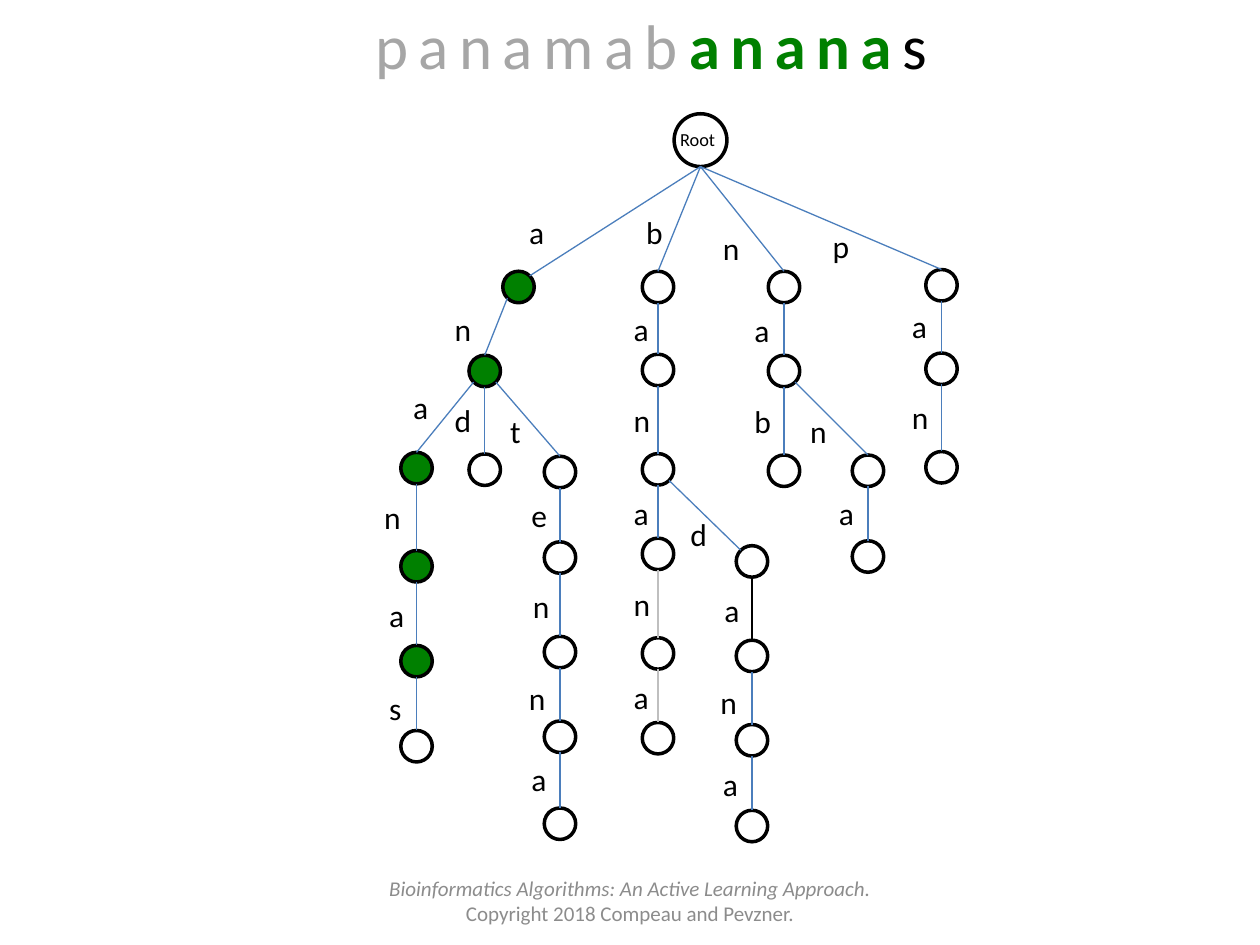
from math import sqrt

from lxml import etree
from pptx import Presentation
from pptx.dml.color import RGBColor
from pptx.enum.shapes import MSO_CONNECTOR, MSO_SHAPE
from pptx.enum.text import MSO_ANCHOR, MSO_AUTO_SIZE, PP_ALIGN
from pptx.oxml.ns import qn
from pptx.util import Pt

OVAL, LINE = MSO_SHAPE.OVAL, MSO_CONNECTOR.STRAIGHT
LEFT, MID = PP_ALIGN.LEFT, PP_ALIGN.CENTER
TOP, CORE = MSO_ANCHOR.TOP, MSO_ANCHOR.MIDDLE
FIT = MSO_AUTO_SIZE.SHAPE_TO_FIT_TEXT

HEX = {"ink": "000000", "paper": "FFFFFF", "match": "008000", "edge": "4B7EBC",
       "faint": "BFBFBF", "past": "A6A6A6", "foot": "8C8C8C"}

TITLE = [[("panamab", "past", {}), ("anana", "match", {"bold": True}),
          ("s", "ink", {})]]
CREDIT = [
    [("Bioinformatics Algorithms: An Active Learning Approach.", "foot",
      {"italic": True})],
    [("Copyright 2018 Compeau and Pevzner.", "foot", {})],
]
MATCH = "anana"

# Each key spells the way from the root: node centre x, node top, label left, label top
TRIE = {
    "a": (296.3, 155, 295.2, 118),
    "an": (277, 203, 252.7, 173.5),
    "ana": (238, 258.5, 229, 218),
    "anan": (238, 314.6, 212.4, 281),
    "anana": (238, 368.8, 215.3, 337),
    "ananas": (238, 417.4, 215.3, 390),
    "and": (277, 259.4, 252.7, 225.4),
    "ant": (320, 260.7, 284.4, 232),
    "ante": (320, 309.6, 296.6, 280),
    "anten": (320, 363.6, 297.4, 332),
    "antenn": (320, 412, 295.2, 384.5),
    "antenna": (320, 461.7, 296.6, 430.6),
    "b": (376, 155, 362.2, 118),
    "ba": (376, 202.4, 355, 173.5),
    "ban": (376, 259.2, 355, 225.4),
    "bana": (376, 307.5, 355, 278.6),
    "banan": (376, 364.4, 355, 330.5),
    "banana": (376, 412.8, 355, 383.8),
    "band": (429.7, 311.8, 387.4, 291),
    "banda": (429.7, 365.8, 406.8, 334),
    "bandan": (429.7, 414, 404.6, 386.6),
    "bandana": (429.7, 463, 406, 433.4),
    "n": (448, 155, 406, 127.4),
    "na": (448, 203, 424, 174),
    "nab": (448, 260, 424, 226),
    "nan": (496, 260, 455.8, 232),
    "nana": (496, 309, 472.3, 278.6),
    "p": (538, 154, 468.7, 126),
    "pa": (538, 201.7, 514, 172),
    "pan": (538, 258, 514, 224),
}
SHADES = {"banan": "faint", "banana": "faint", "banda": "ink"}
SIDED = {"a", "band"}  # edges that meet the side of the node, not its top
WIDTHS = {"a": 23, "e": 23.8, "s": 21.6, "t": 20.9}
ROOT, SPAN, DOT = (400.3, 65), 30.2, 18


def tint(name):
    return RGBColor.from_string(HEX[name])


def write(box, paras, size=18, align=LEFT, anchor=TOP, wrap=True, grow=True,
          gap=None):
    """Fill box with paras, lists of (text, colour, font flags); gap spaces letters."""
    frame = box.text_frame
    frame.word_wrap, frame.vertical_anchor = wrap, anchor
    frame.auto_size = FIT if grow else MSO_AUTO_SIZE.NONE
    for i, runs in enumerate(paras):
        para = frame.add_paragraph() if i else frame.paragraphs[0]
        para.alignment, para.space_before = align, Pt(0)
        for text, color, flags in runs:
            run = para.add_run()
            run.text, font = text, run.font
            font.name, font.size, font.color.rgb = "Calibri", Pt(size), tint(color)
            for flag, value in flags.items():
                setattr(font, flag, value)
            if gap:
                run._r.get_or_add_rPr().set("spc", str(gap * 100))


def add_box(*spot):
    return slide.shapes.add_textbox(*map(Pt, spot))


def add_node(x, top, size, fill):
    node = slide.shapes.add_shape(OVAL, Pt(x - size / 2), Pt(top), Pt(size), Pt(size))
    node.shadow.inherit = False
    node.fill.solid()
    node.fill.fore_color.rgb = tint(fill)
    node.line.color.rgb, node.line.width = tint("ink"), Pt(2)
    return node


def start(key):
    """Point where the edge to key leaves its parent."""
    if len(key) == 1:
        return ROOT[0], ROOT[1] + SPAN
    x, top = TRIE[key[:-1]][:2]
    shift = TRIE[key][0] - x
    if not shift:
        return x, top + DOT
    half, slant = DOT / 2, DOT / 2 / sqrt(2)
    return x + (slant if shift > 0 else -slant), top + half + slant


def add_edge(key, node):
    x, top = TRIE[key][:2]
    x1, y1 = start(key)
    half, slant = DOT / 2, DOT / 2 / sqrt(2)
    x2, y2 = x, top
    if key in SIDED:
        x2, y2 = x + (slant if x1 > x else -slant), top + half - slant
    edge = slide.shapes.add_connector(LINE, Pt(x1), Pt(y1), Pt(x2), Pt(y2))
    if key not in SIDED:
        edge.end_connect(node, 0)
    edge.line.color.rgb = tint(SHADES.get(key, "edge"))
    edge.line.width = Pt(0.75)
    etree.SubElement(edge._element.spPr, qn("a:effectLst"))


deck = Presentation()
deck.slide_width, deck.slide_height = Pt(720), Pt(540)
slide = deck.slides.add_slide(deck.slide_layouts[5])

title = slide.shapes.title
title.left, title.top, title.width, title.height = map(Pt, (192, 0, 360, 51))
write(title, TITLE, size=36, align=MID, gap=6)

add_node(*ROOT, SPAN, "paper")
write(add_box(381.6, 70, 39.6, 20), [[("Root", "ink", {})]], size=10.5)

for key, (x, top, left, high) in TRIE.items():
    node = add_node(x, top, DOT, "match" if MATCH.startswith(key) else "paper")
    add_edge(key, node)
    sign = key[-1]
    write(add_box(left, high, WIDTHS.get(sign, 24.5), 29),
          [[(sign, "ink", {})]], wrap=False)

write(add_box(204, 500.4, 312, 28.8), CREDIT, size=12, align=MID, anchor=CORE,
      grow=False)

deck.save("out.pptx")
